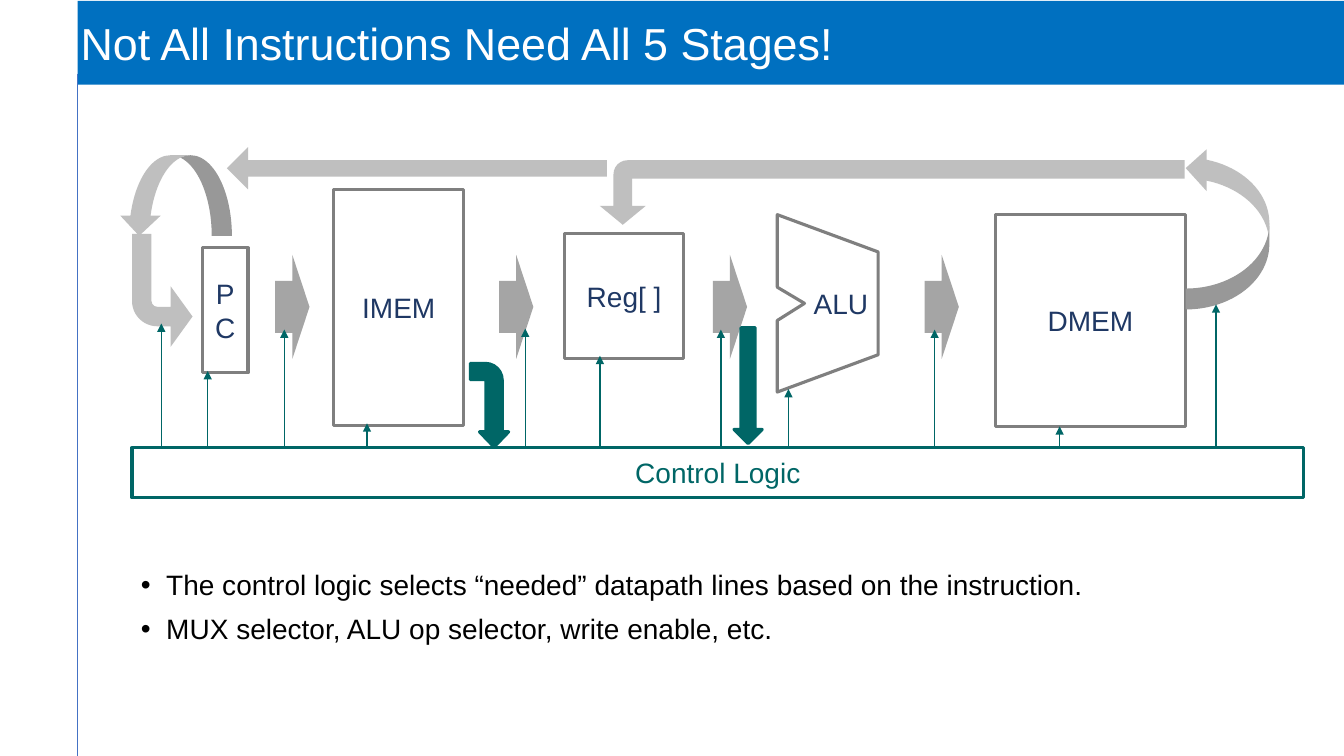
"""Slide on which datapath stages an instruction needs, laid out on a grid of 0.1 inch cells."""
from lxml.etree import SubElement
from pptx import Presentation
from pptx.dml.color import RGBColor
from pptx.enum.shapes import MSO_CONNECTOR as Connector, MSO_SHAPE as Shape
from pptx.enum.text import MSO_ANCHOR as Anchor, PP_ALIGN as Align
from pptx.oxml.ns import qn
from pptx.util import Inches, Pt

GRAY, PALE, EDGE = "A5A5A5", "BFBFBF", "7F7F7F"
TEAL, NAVY, BLUE, WHITE, BLACK = "006666", "1F3864", "0070C0", "FFFFFF", "000000"
CONTROL_TOP = 44.4

BLOCKS = [
    ("PC", 20.1, 24.6, 4.5, 12.4, 0.7),
    ("Reg[ ]", 56, 23.2, 11.8, 12.4, 0.7),
    ("DMEM", 98.7, 21.3, 18.9, 21, 0.7),
    ("IMEM", 33.1, 18.8, 12.9, 23.4, 1),
]
ALU_OUTLINE = [(77.1, 21.3), (77.1, 28.5), (79.8, 30.1), (77.1, 31.8),
               (77.1, 38.9), (87.1, 35.2), (87.1, 25)]
STAGE_ARROW_COLUMNS = [27.3, 49.5, 70.7, 91.7]
LOOP_ARROWS = [
    (Shape.CURVED_RIGHT_ARROW, (13.4, 13.8, 8, 11.2), 90, False, (0.25, 0.5, 0.25)),
    (Shape.BENT_ARROW, (13.1, 23.2, 6, 11.2), 180, True, (0.322, 0.5, 0.361, 0.417)),
    (Shape.CURVED_LEFT_ARROW, (117.6, 14.6, 8.3, 16.1), 180, True, (0.25, 0.5, 0.25)),
    (Shape.BENT_ARROW, (85.3, -9.9, 6.4, 58), 270, True, (0.287, 0.355, 0.292, 0.215)),
    (Shape.RIGHT_ARROW, (22.5, 14.6, 37.7, 4.2), 180, False, (0.393, 0.5)),
]
CONTROL_LINES = [(20.6, 36.8), (36.4, 42), (59.5, 35.3), (78.2, 38.6), (16, 32.1), (28.2, 32.7),
                 (105.1, 42.3), (52.1, 32.6), (71.5, 32.7), (92.7, 32.7), (120.6, 30.2)]
NOTES = ["The control logic selects “needed” datapath lines based on the instruction.",
         "MUX selector, ALU op selector, write enable, etc."]


def cells(*counts):
    """Turn counts of grid cells into lengths."""
    return [Inches(count / 10) for count in counts]


def color(value):
    """Turn a hex string into a colour."""
    return RGBColor.from_string(value)


def paint(shape, fill=None, line=None):
    """Set fill and outline of a shape and drop its shadow."""
    shape.shadow.inherit = False
    if fill:
        shape.fill.solid()
        shape.fill.fore_color.rgb = color(fill)
    else:
        shape.fill.background()
    if line:
        shape.line.color.rgb = color(line)
        shape.line.width = Pt(2.25)
    else:
        shape.line.fill.background()


def style(para, size, ink, align=Align.LEFT):
    """Set font and alignment of a paragraph."""
    para.alignment = align
    para.font.name = "Arial"
    para.font.size = Pt(size)
    para.font.color.rgb = color(ink)


def label(shape, text, ink, align=Align.CENTER, size=20, inset=(1, 0.5)):
    """Write one vertically centred line of text in a shape."""
    frame = shape.text_frame
    frame.word_wrap = True
    frame.vertical_anchor = Anchor.MIDDLE
    frame.margin_left = frame.margin_right = cells(inset[0])[0]
    frame.margin_top = frame.margin_bottom = cells(inset[1])[0]
    frame.text = text
    style(frame.paragraphs[0], size, ink, align)


def add_box(page, place, fill=None, line=None):
    """Add a rectangle."""
    box = page.shapes.add_shape(Shape.RECTANGLE, *cells(*place))
    paint(box, fill, line)
    return box


def add_arrow(page, kind, place, fill, rotation=0, flip=False, adjust=(), line=None):
    """Add a block arrow, turned and mirrored as asked."""
    arrow = page.shapes.add_shape(kind, *cells(*place))
    for index, share in enumerate(adjust):
        arrow.adjustments[index] = share
    arrow.rotation = rotation
    if flip:
        arrow.element.spPr.find(qn("a:xfrm")).set("flipH", "1")
    paint(arrow, fill, line)


def add_line(page, column, start, end, ink, width, head=False):
    """Add a vertical line, with an arrowhead at its end if asked."""
    line = page.shapes.add_connector(Connector.STRAIGHT, *cells(column, start, column, end))
    line.line.color.rgb = color(ink)
    line.line.width = Pt(width)
    if head:
        SubElement(line.line._get_or_add_ln(), qn("a:tailEnd"), type="triangle")
    SubElement(line.element.spPr, qn("a:effectLst"))


def add_alu(page):
    """Add the notched ALU outline."""
    points = [cells(*point) for point in ALU_OUTLINE]
    builder = page.shapes.build_freeform(*points[0], scale=1.0)
    builder.add_line_segments(points[1:], close=True)
    alu = builder.convert_to_shape()
    paint(alu, line=EDGE)
    label(alu, "ALU", NAVY, Align.RIGHT)


def add_notes(page):
    """Add the bulleted notes."""
    frame = page.shapes.add_textbox(*cells(13, 56.2, 120.3, 9.3)).text_frame
    frame.word_wrap = True
    for index, text in enumerate(NOTES):
        para = frame.add_paragraph() if index else frame.paragraphs[0]
        para.text = text
        props = para._p.get_or_add_pPr()
        props.set("marL", str(Inches(0.25)))
        props.set("indent", str(Inches(-0.25)))
        SubElement(SubElement(props, qn("a:buClr")), qn("a:srgbClr"), val=BLACK)
        SubElement(props, qn("a:buFont"), typeface="Arial")
        SubElement(props, qn("a:buChar"), char="•")
        para.line_spacing = 0.9
        para.space_before = Pt(10 if index else 0)
        style(para, 20, BLACK)


def main():
    """Build and save the slide."""
    deck = Presentation()
    deck.slide_width, deck.slide_height = Inches(13.33), Inches(7.5)
    page = deck.slides.add_slide(deck.slide_layouts[6])

    title = add_box(page, (7.7, 0.1, 125.6, 8.3), BLUE)
    label(title, "Not All Instructions Need All 5 Stages!", WHITE, Align.LEFT, 32, (0.3, 0.3))
    add_line(page, 7.7, 7.3, 75, "4472C4", 0.75)

    for name, left, top, width, height, side in BLOCKS:
        block = add_box(page, (left, top, width, height), line=EDGE)
        label(block, name, NAVY, inset=(side, side / 2))
    add_alu(page)
    for column in STAGE_ARROW_COLUMNS:
        add_arrow(page, Shape.RIGHT_ARROW, (column, 25.3, 3.4, 10.3), GRAY)
    for kind, place, rotation, flip, adjust in LOOP_ARROWS:
        add_arrow(page, kind, place, PALE, rotation, flip, adjust)
    add_notes(page)

    control = add_box(page, (13.1, CONTROL_TOP, 116.2, 5), line=TEAL)
    label(control, "Control Logic", TEAL)
    for column, end in CONTROL_LINES:
        add_line(page, column, CONTROL_TOP, end, TEAL, 1, head=True)
    add_arrow(page, Shape.BENT_ARROW, (44.4, 38.3, 8.3, 3.8), TEAL, 90,
              adjust=(0.425, 0.381, 0.396, 0.438), line=TEAL)
    add_arrow(page, Shape.DOWN_ARROW, (72.8, 32.5, 2.8, 11.5), TEAL, line=TEAL)
    deck.save("out.pptx")


if __name__ == "__main__":
    main()
